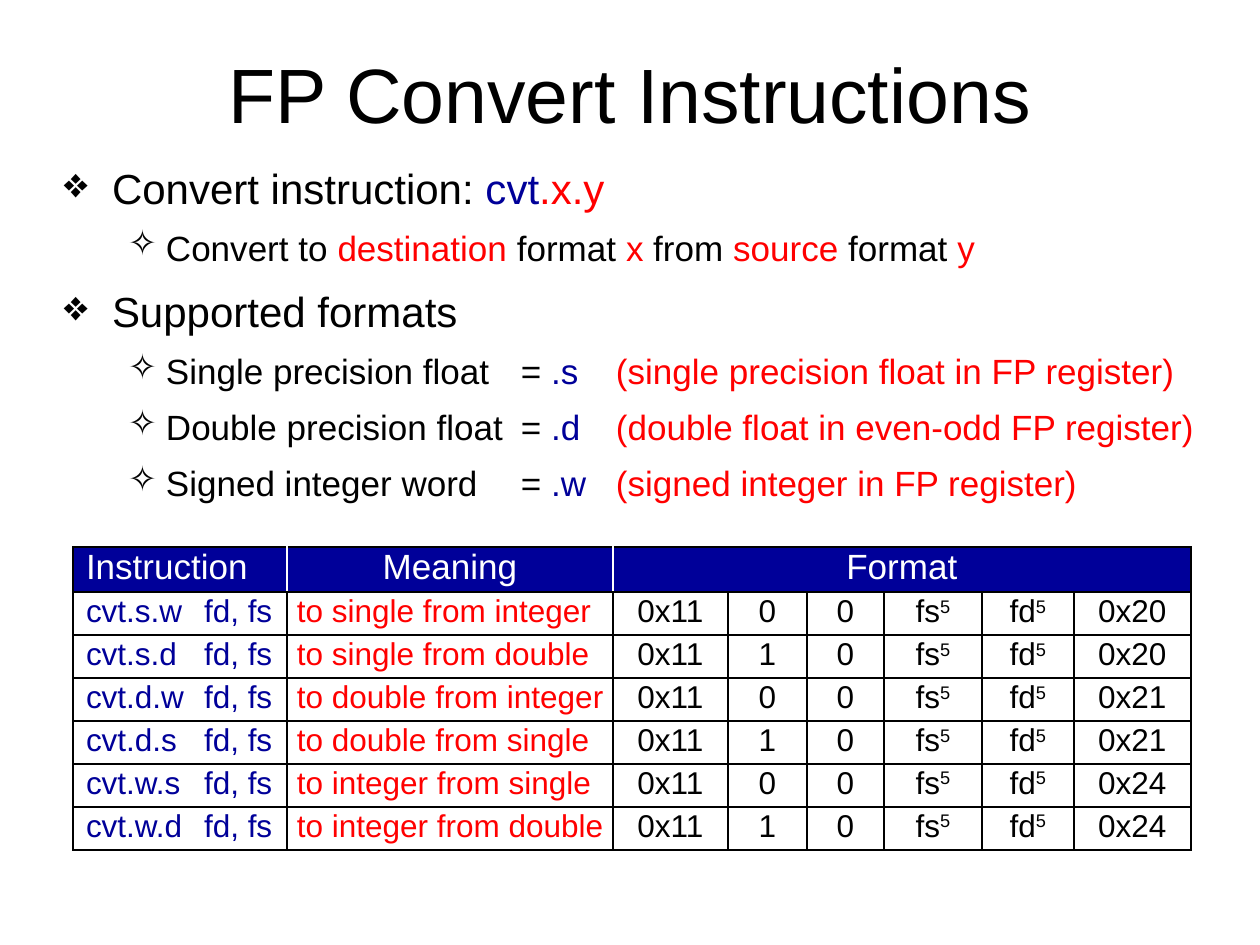
from lxml.etree import SubElement
from pptx import Presentation
from pptx.dml.color import RGBColor
from pptx.enum.text import MSO_ANCHOR, PP_ALIGN
from pptx.oxml.ns import qn
from pptx.util import Pt

PX = 914400 // 126
FONT = "Arial"
COLORS = {"black": "000000", "white": "FFFFFF", "blue": "000099", "red": "FF0000"}

TITLE_BOX = (63, 38, 1134, 110)
LIST_BOX = (64, 156, 1132, 376)
TABLE_BOX = (73, 547, 1118, 303)

# List: (level, [(text, colour), ...])
FORMATS = [
    ("Single precision float", ".s", "(single precision float in FP register)"),
    ("Double precision float", ".d", "(double float in even-odd FP register)"),
    ("Signed integer word", ".w", "(signed integer in FP register)"),
]
ITEMS = [
    (0, [("Convert instruction: ", "black"), ("cvt", "blue"), (".x.y", "red")]),
    (1, [("Convert to ", "black"), ("destination", "red"), (" format ", "black"),
         ("x", "red"), (" from ", "black"), ("source", "red"),
         (" format ", "black"), ("y", "red")]),
    (0, [("Supported formats", "black")]),
] + [(1, [(name + "\t= ", "black"), (suffix + "\t", "blue"), (note, "red")])
     for name, suffix, note in FORMATS]
# Per level: size, left margin, hanging indent, bullet
LEVELS = [(24, 48, 48, "❖"), (20, 102, 38, "✧")]
LIST_TABS = (457, 552)

# Table
HEADERS = ["Instruction", "Meaning", "Format"]
COL_WIDTHS = [214, 326, 115, 79, 77, 98, 92, 117]
HEADER_HEIGHT, ROW_HEIGHT = 45, 43
NAMES = {"s": "single", "d": "double", "w": "integer"}
# Destination, source, format bit, function code
CONVERSIONS = [
    ("s", "w", "0", "0x20"), ("s", "d", "1", "0x20"),
    ("d", "w", "0", "0x21"), ("d", "s", "1", "0x21"),
    ("w", "s", "0", "0x24"), ("w", "d", "1", "0x24"),
]


def add_run(p, text, size, color, superscript=False):
    r = p.add_run()
    r.text = text
    r.font.size = Pt(size)
    r.font.name = FONT
    r.font.color.rgb = RGBColor.from_string(COLORS[color])
    if superscript:
        r.font._element.set("baseline", "30000")


def format_paragraph(p, bullet=None, margin=0, hanging=0, tabs=()):
    """Set 40% space before, the bullet with its indent, and tab stops."""
    pPr = p._p.get_or_add_pPr()
    SubElement(SubElement(pPr, qn("a:spcBef")), qn("a:spcPct"), val="40000")
    if bullet:
        pPr.set("marL", str(margin * PX))
        pPr.set("indent", str(-hanging * PX))
        SubElement(pPr, qn("a:buChar"), char=bullet)
    if tabs:
        tab_list = SubElement(pPr, qn("a:tabLst"))
        for pos in tabs:
            SubElement(tab_list, qn("a:tab"), pos=str(pos * PX), algn="l")


def add_text_box(s, box):
    tf = s.shapes.add_textbox(*(v * PX for v in box)).text_frame
    tf.word_wrap = True
    return tf


def add_title(s, box):
    tf = add_text_box(s, box)
    tf.vertical_anchor = MSO_ANCHOR.MIDDLE
    p = tf.paragraphs[0]
    p.alignment = PP_ALIGN.CENTER
    add_run(p, "FP Convert Instructions", 44, "black")


def add_list(s, box):
    tf = add_text_box(s, box)
    tf.margin_left = tf.margin_right = 0
    for i, (level, runs) in enumerate(ITEMS):
        p = tf.add_paragraph() if i else tf.paragraphs[0]
        p.level = level
        size, margin, hanging, bullet = LEVELS[level]
        tabs = LIST_TABS if "\t" in runs[0][0] else ()
        format_paragraph(p, bullet, margin, hanging, tabs)
        for text, color in runs:
            add_run(p, text, size, color)


def set_borders(cell, left="black", right="black"):
    tcPr = cell._tc.get_or_add_tcPr()
    for side, color in (("L", left), ("R", right), ("T", "black"), ("B", "black")):
        ln = SubElement(tcPr, qn("a:ln" + side), w=str(Pt(1)))
        SubElement(SubElement(ln, qn("a:solidFill")), qn("a:srgbClr"), val=COLORS[color])


def set_margins(cell, left, right, vertical):
    cell.margin_left, cell.margin_right = left * PX, right * PX
    cell.margin_top = cell.margin_bottom = vertical * PX


def fill_header(table):
    last = len(COL_WIDTHS) - 1
    for c in range(last + 1):
        cell = table.cell(0, c)
        set_margins(cell, 13, 13, 1)
        set_borders(cell, "white" if c in (1, 2) else "black",
                    "white" if c in (0, 1) else "black")
        cell.fill.solid()
        cell.fill.fore_color.rgb = RGBColor.from_string(COLORS["blue"])
    for c, text in enumerate(HEADERS):
        p = table.cell(0, c).text_frame.paragraphs[0]
        p.alignment = PP_ALIGN.CENTER if c else PP_ALIGN.LEFT
        format_paragraph(p)
        add_run(p, text, 20, "white")
    table.cell(0, 2).merge(table.cell(0, last))


def fill_row(table, row, dest, source, bit, code):
    values = [f"cvt.{dest}.{source}\tfd, fs", f"to {NAMES[dest]} from {NAMES[source]}",
              "0x11", bit, "0", "fs", "fd", code]
    for c, text in enumerate(values):
        cell = table.cell(row, c)
        set_margins(cell, 10 if c == 1 else 13, 0 if c < 2 else 13, 2)
        set_borders(cell)
        cell.fill.background()
        p = cell.text_frame.paragraphs[0]
        p.alignment = PP_ALIGN.LEFT if c < 2 else PP_ALIGN.CENTER
        format_paragraph(p, tabs=(118,) if c == 0 else ())
        add_run(p, text, 18, ("blue", "red")[c] if c < 2 else "black")
        if text in ("fs", "fd"):
            add_run(p, "5", 18, "black", superscript=True)


def add_instruction_table(s, box):
    shape = s.shapes.add_table(len(CONVERSIONS) + 1, len(COL_WIDTHS), *(v * PX for v in box))
    table = shape.table
    table.first_row = table.horz_banding = False
    for col, width in zip(table.columns, COL_WIDTHS):
        col.width = width * PX
    for i, row in enumerate(table.rows):
        row.height = (ROW_HEIGHT if i else HEADER_HEIGHT) * PX
    fill_header(table)
    for i, conversion in enumerate(CONVERSIONS, 1):
        fill_row(table, i, *conversion)


def main():
    prs = Presentation()
    prs.slide_width, prs.slide_height = 1260 * PX, 945 * PX
    s = prs.slides.add_slide(prs.slide_layouts[6])
    add_title(s, TITLE_BOX)
    add_instruction_table(s, TABLE_BOX)
    add_list(s, LIST_BOX)
    prs.save("out.pptx")


if __name__ == "__main__":
    main()
